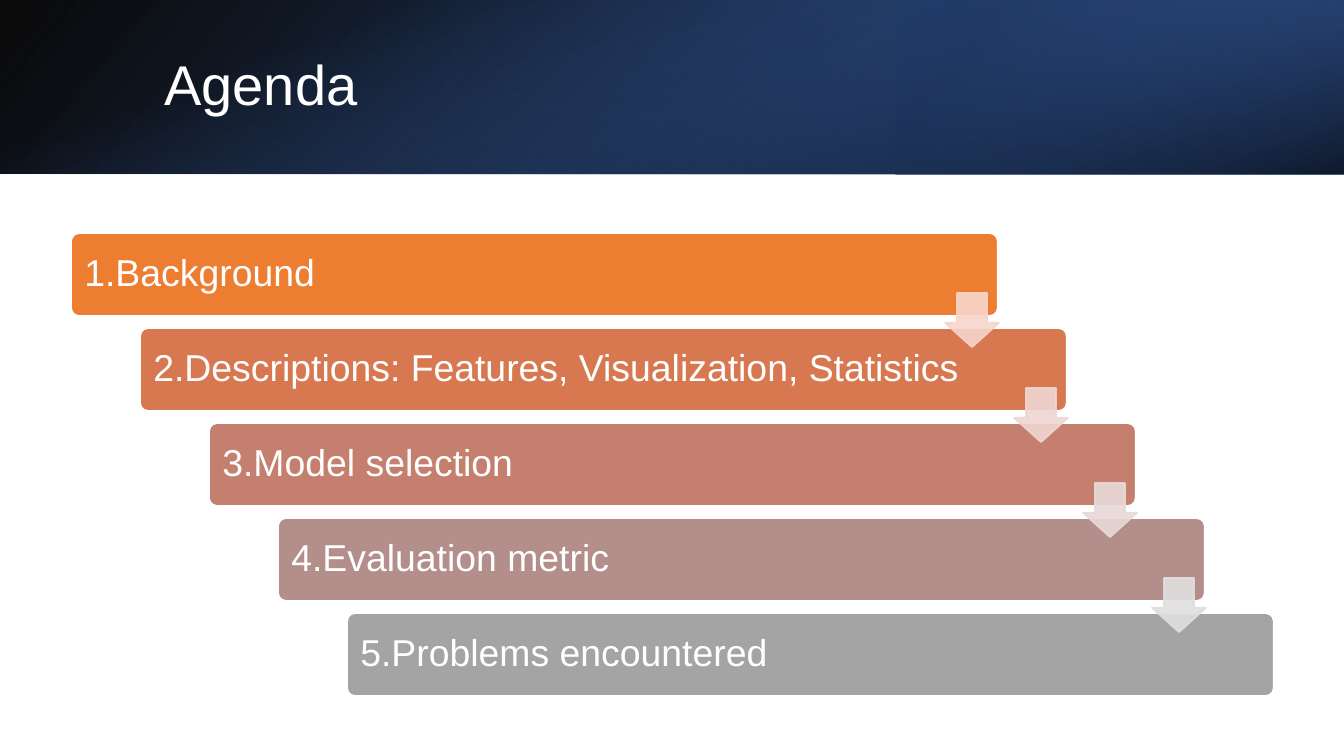
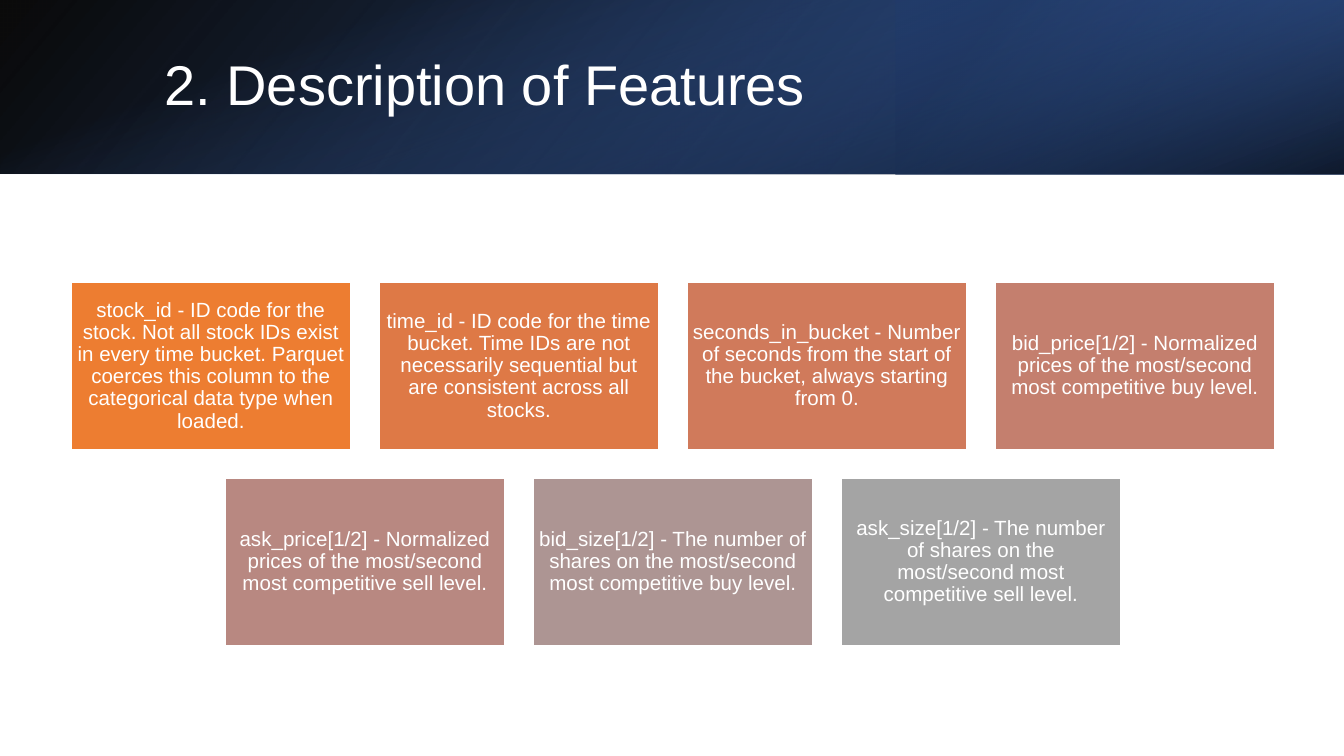
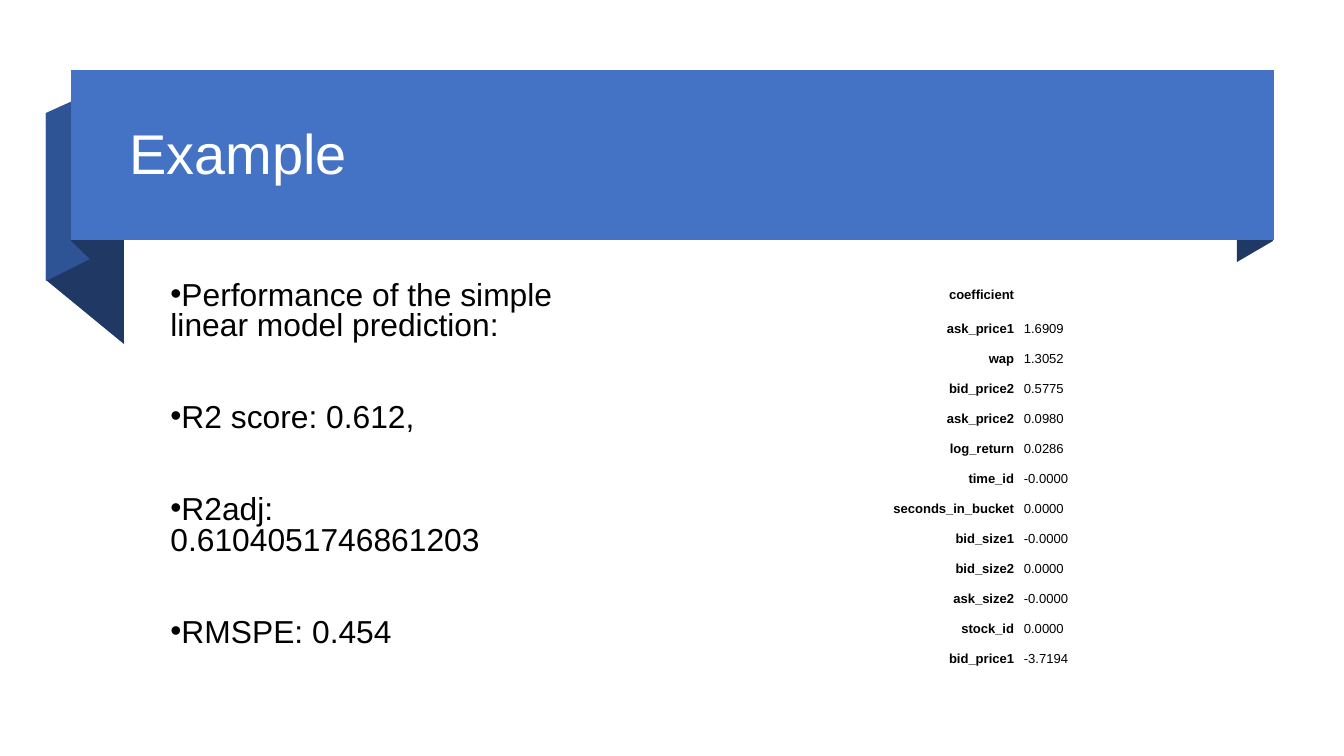
from lxml.etree import SubElement
from pptx import Presentation
from pptx.dml.color import RGBColor
from pptx.enum.shapes import MSO_SHAPE
from pptx.enum.text import MSO_ANCHOR, MSO_AUTO_SIZE, PP_ALIGN
from pptx.oxml import parse_xml
from pptx.oxml.ns import nsdecls, qn
from pptx.util import Pt

PX = 6804
WIDTH, HEIGHT = 1344, 756
FONT = "Arial"

WHITE = RGBColor(0xFF, 0xFF, 0xFF)
BLACK = RGBColor(0x00, 0x00, 0x00)
BLUE = RGBColor(0x44, 0x72, 0xC4)
MID_BLUE = RGBColor(0x2F, 0x54, 0x96)
NAVY = RGBColor(0x1F, 0x38, 0x64)
ORANGE = RGBColor(0xED, 0x7D, 0x31)
ROSE = RGBColor(0xC4, 0x7F, 0x6E)
GREY = RGBColor(0xA4, 0xA4, 0xA4)
STEP_COLORS = [ORANGE, RGBColor(0xD7, 0x78, 0x50), ROSE,
               RGBColor(0xB3, 0x8E, 0x8A), GREY]
ARROW_COLORS = [RGBColor(0xF7, 0xD5, 0xCB), RGBColor(0xEF, 0xD6, 0xD1),
                RGBColor(0xE8, 0xD9, 0xD7), RGBColor(0xDF, 0xDF, 0xDF)]
CARD_COLORS = [ORANGE, RGBColor(0xDE, 0x79, 0x46), RGBColor(0xD0, 0x7A, 0x5B), ROSE,
               RGBColor(0xB8, 0x88, 0x81), RGBColor(0xAD, 0x95, 0x93), GREY]

BAND_LAYERS = [
    ((0, 0, 1344, 174), 0, True, 140, [(0, BLACK, 96), (100, MID_BLUE, 100)]),
    ((896, 0, 448, 174), 180, True, 320,
     [(0, NAVY, 68), (19, NAVY, 68), (100, BLUE, 79)]),
    ((585, -585, 174, 1344), 90, False, 340,
     [(0, BLUE, 0), (23, BLUE, 0), (99, BLACK, 74), (100, BLACK, 74)]),
]
BAND_TITLE = (151, 39, 1107, 97)
BANNER_TITLE = (116, 83, 1136, 146)

STEPS = [
    "1.Background",
    "2.Descriptions: Features, Visualization, Statistics",
    "3.Model selection",
    "4.Evaluation metric",
    "5.Problems encountered",
]
FEATURES = [
    "stock_id - ID code for the stock. Not all stock IDs exist in every time bucket. "
    "Parquet coerces this column to the categorical data type when loaded.",
    "time_id - ID code for the time bucket. Time IDs are not necessarily sequential "
    "but are consistent across all stocks.",
    "seconds_in_bucket - Number of seconds from the start of the bucket, "
    "always starting from 0.",
    "bid_price[1/2] - Normalized prices of the most/second most competitive buy level.",
    "ask_price[1/2] - Normalized prices of the most/second most competitive sell level.",
    "bid_size[1/2] - The number of shares on the most/second most competitive buy level.",
    "ask_size[1/2] - The number of shares on the most/second most competitive sell level.",
]
SCORES = [
    "Performance of the simple linear model prediction:",
    "R2 score: 0.612,",
    "R2adj: 0.6104051746861203",
    "RMSPE: 0.454",
]
COEFFICIENTS = [
    ("coefficient", ""),
    ("ask_price1", "1.6909"),
    ("wap", "1.3052"),
    ("bid_price2", "0.5775"),
    ("ask_price2", "0.0980"),
    ("log_return", "0.0286"),
    ("time_id", "-0.0000"),
    ("seconds_in_bucket", "0.0000"),
    ("bid_size1", "-0.0000"),
    ("bid_size2", "0.0000"),
    ("ask_size2", "-0.0000"),
    ("stock_id", "0.0000"),
    ("bid_price1", "-3.7194"),
]
RIBBON_FOLDS = [
    (NAVY, [(1273, 241), (1237, 262), (1237, 91), (1273, 70)]),
    (NAVY, [(124, 344), (46, 280), (46, 113), (124, 176)]),
    (MID_BLUE, [(90, 259), (46, 281), (46, 113), (90, 93)]),
    (NAVY, [(90, 259), (71, 241), (71, 71), (90, 89)]),
]


def paint(sp, fill, line=None):
    sp.shadow.inherit = False
    sp.fill.solid()
    sp.fill.fore_color.rgb = fill
    if line is None:
        sp.line.fill.background()
    else:
        sp.line.color.rgb = line
        sp.line.width = Pt(1)


def style(tf, size, color, align=PP_ALIGN.LEFT, spacing=0.9, bold=False):
    for p in tf.paragraphs:
        p.alignment = align
        p.line_spacing = spacing
        for r in p.runs:
            r.font.name = FONT
            r.font.size = Pt(size)
            r.font.bold = bold
            r.font.color.rgb = color


prs = Presentation()
prs.slide_width = WIDTH * PX
prs.slide_height = HEIGHT * PX
content_layout, title_only = prs.slide_layouts[1], prs.slide_layouts[5]
agenda = prs.slides.add_slide(title_only)
features = prs.slides.add_slide(title_only)
example = prs.slides.add_slide(content_layout)

for s in (agenda, features):
    for box, rotation, flipped, angle, stops in BAND_LAYERS:
        sp = s.shapes.add_shape(MSO_SHAPE.RECTANGLE, *(v * PX for v in box))
        sp.rotation = rotation
        sp.shadow.inherit = False
        sp.line.fill.background()
        sp.fill.background()
        spPr = sp._element.spPr
        if flipped:
            spPr.find(qn("a:xfrm")).set("flipH", "1")
        gs = "".join(
            f'<a:gs pos="{pos * 1000}"><a:srgbClr val="{color}">'
            f'<a:alpha val="{alpha * 1000}"/></a:srgbClr></a:gs>'
            for pos, color, alpha in stops)
        grad = parse_xml(
            f'<a:gradFill {nsdecls("a")}><a:gsLst>{gs}</a:gsLst>'
            f'<a:lin ang="{angle * 60000}" scaled="0"/></a:gradFill>')
        spPr.replace(spPr.find(qn("a:noFill")), grad)

for i, (text, color) in enumerate(zip(STEPS, STEP_COLORS)):
    sp = agenda.shapes.add_shape(
        MSO_SHAPE.ROUNDED_RECTANGLE,
        (71 + 69 * i) * PX, (233 + 95 * i) * PX, 927 * PX, 83 * PX)
    sp.adjustments[0] = 0.1
    paint(sp, color, WHITE)
    tf = sp.text_frame
    tf.word_wrap = True
    tf.vertical_anchor = MSO_ANCHOR.MIDDLE
    tf.margin_left = tf.margin_right = 11 * PX
    tf.text = text
    style(tf, 20, WHITE)

for i, color in enumerate(ARROW_COLORS):
    sp = agenda.shapes.add_shape(
        MSO_SHAPE.DOWN_ARROW,
        (945 + 69 * i) * PX, (293 + 95 * i) * PX, 54 * PX, 54 * PX)
    sp.adjustments[0], sp.adjustments[1] = 0.55, 0.45
    paint(sp, color, color)
    for clr in sp._element.spPr.iter(qn("a:srgbClr")):
        SubElement(clr, qn("a:alpha")).set("val", "90000")

card_w, card_h, gap, per_row, centre = 280, 168, 28, 4, 673
for i, (text, color) in enumerate(zip(FEATURES, CARD_COLORS)):
    row, col = divmod(i, per_row)
    count = min(per_row, len(FEATURES) - row * per_row)
    left = centre - (count * card_w + (count - 1) * gap) // 2
    sp = features.shapes.add_shape(
        MSO_SHAPE.RECTANGLE,
        (left + col * (card_w + gap)) * PX, (282 + row * (card_h + gap)) * PX,
        card_w * PX, card_h * PX)
    paint(sp, color, WHITE)
    tf = sp.text_frame
    tf.word_wrap = True
    tf.vertical_anchor = MSO_ANCHOR.MIDDLE
    tf.margin_left = tf.margin_right = tf.margin_top = tf.margin_bottom = 6 * PX
    tf.text = text
    style(tf, 11, WHITE, PP_ALIGN.CENTER)

for color, points in RIBBON_FOLDS:
    builder = example.shapes.build_freeform(*points[0], scale=PX)
    builder.add_line_segments(points[1:], close=True)
    paint(builder.convert_to_shape(), color)
banner = example.shapes.add_shape(
    MSO_SHAPE.RECTANGLE, 71 * PX, 70 * PX, 1203 * PX, 170 * PX)
paint(banner, BLUE)

body = example.placeholders[1]
body.left, body.top, body.width, body.height = 157 * PX, 275 * PX, 444 * PX, 392 * PX
tf = body.text_frame
tf.auto_size = MSO_AUTO_SIZE.NONE
tf.text = "\n".join(SCORES)
style(tf, 17, BLACK, spacing=0.8)
for p in tf.paragraphs:
    p.space_before = Pt(0)
    p.space_after = Pt(33)
    pPr = p._p.get_or_add_pPr()
    pPr.set("marL", "0")
    pPr.set("indent", "0")
    SubElement(pPr, qn("a:buChar")).set("char", "•")

table = example.shapes.add_table(
    len(COEFFICIENTS), 2, 703 * PX, 274 * PX, 468 * PX, 399 * PX).table
table.first_row = table.horz_banding = False
table.columns[0].width, table.columns[1].width = 316 * PX, 152 * PX
for i, values in enumerate(COEFFICIENTS):
    table.rows[i].height = (30 if i else 39) * PX
    for j, text in enumerate(values):
        cell = table.cell(i, j)
        cell.fill.solid()
        cell.fill.fore_color.rgb = WHITE
        cell.vertical_anchor = MSO_ANCHOR.MIDDLE
        cell.margin_left = cell.margin_right = 5 * PX
        cell.margin_top = cell.margin_bottom = 5 * PX
        tf = cell.text_frame
        if text:
            tf.text = text
            style(tf, 7, BLACK, PP_ALIGN.LEFT if j else PP_ALIGN.RIGHT, 1.15, j == 0)
        else:
            tf.paragraphs[0]._p.get_or_add_endParaRPr().set("sz", "700")

for s, text, box in [(agenda, "Agenda", BAND_TITLE),
                     (features, "2. Description of Features", BAND_TITLE),
                     (example, "Example", BANNER_TITLE)]:
    sp = s.shapes.title
    sp.left, sp.top, sp.width, sp.height = (v * PX for v in box)
    s.shapes._spTree.append(sp._element)
    tf = sp.text_frame
    tf.auto_size = MSO_AUTO_SIZE.NONE
    tf.vertical_anchor = MSO_ANCHOR.MIDDLE
    tf.text = text
    style(tf, 30, WHITE)

prs.save("out.pptx")
